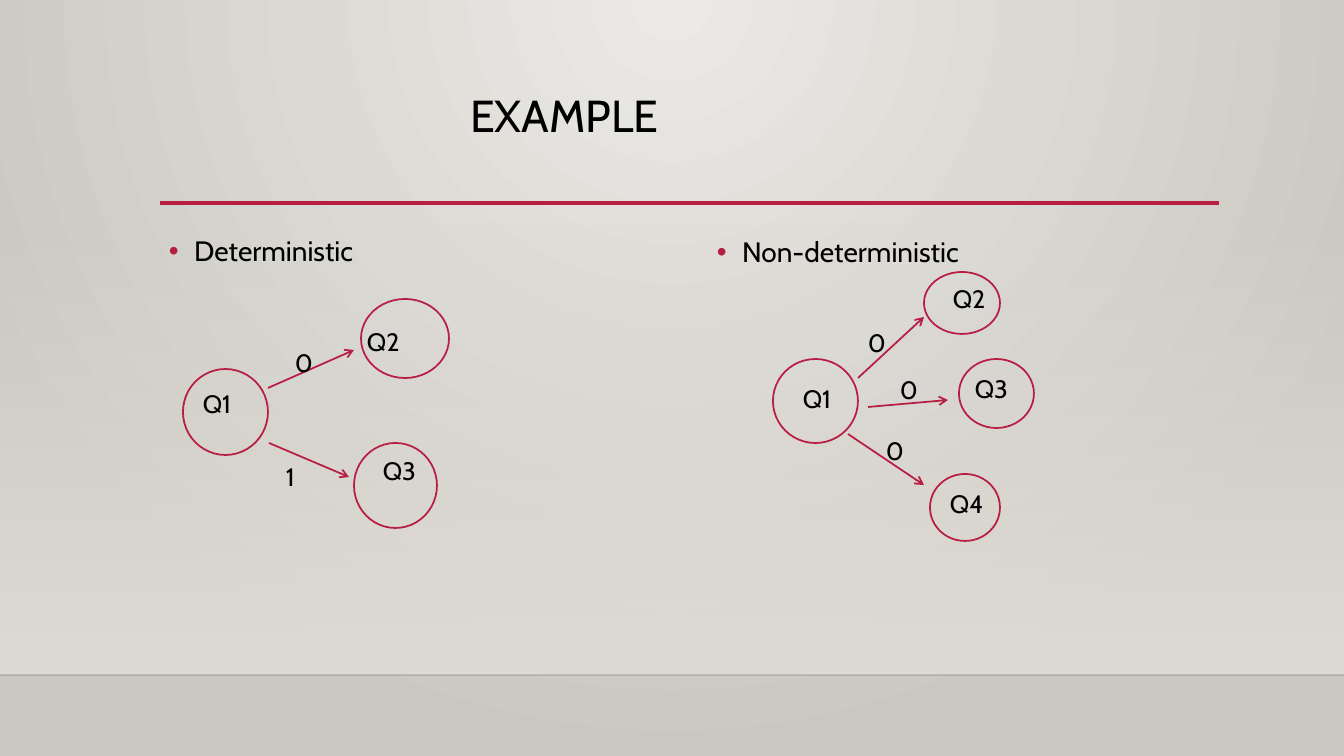
from pptx import Presentation
from pptx.dml.color import RGBColor
from pptx.enum.shapes import MSO_CONNECTOR, MSO_SHAPE
from pptx.enum.text import MSO_ANCHOR, MSO_AUTO_SIZE, PP_ALIGN
from pptx.oxml.ns import qn
from pptx.util import Pt
from lxml.etree import SubElement

PX = 914400 / 100.8
RED = RGBColor(0xB7, 0x1E, 0x42)
BLACK = RGBColor(0, 0, 0)
EDGE = RGBColor(0, 0, 1)
LIGHT = RGBColor(0xEC, 0xEA, 0xE7)
DARK = RGBColor(0xCA, 0xC7, 0xC1)
SAND = RGBColor(0xDF, 0xDB, 0xD5)
FONT = "Cabin"


def px(*sizes):
    return [round(size * PX) for size in sizes]


def add_line(ends, color, width):
    line = slide.shapes.add_connector(MSO_CONNECTOR.STRAIGHT, *px(*ends))
    line.line.color.rgb = color
    line.line.width = Pt(width)
    SubElement(line._element.spPr, qn("a:effectLst"))
    return line


prs = Presentation()
prs.slide_width, prs.slide_height = px(1344, 756)
slide = prs.slides.add_slide(prs.slide_layouts[5])

# Background with a round glow from the top
fill = slide.background.fill
fill.gradient()
for stop, color in zip(fill.gradient_stops, (LIGHT, DARK)):
    stop.color.rgb = color
linear = slide.element.find(".//" + qn("a:lin"))
grad = linear.getparent()
grad.remove(linear)
glow = SubElement(grad, qn("a:path"), path="circle")
SubElement(glow, qn("a:fillToRect"), l="43000", t="0", r="43000", b="100000")

# Wall that fades in downwards
wall = slide.shapes.add_shape(MSO_SHAPE.RECTANGLE, *px(0, 223, 1344, 452))
wall.shadow.inherit = False
wall.line.fill.background()
wall.fill.gradient()
wall.fill.gradient_angle = 270
for stop in wall.fill.gradient_stops:
    stop.color.rgb = SAND
first = wall._element.spPr.find(".//" + qn("a:srgbClr"))
SubElement(first, qn("a:alpha"), val="0")

# Floor edge and title rule
floor = add_line((0, 675, 1344, 675), EDGE, 1)
tint = floor._element.spPr.find(".//" + qn("a:srgbClr"))
SubElement(tint, qn("a:alpha"), val="20000")
add_line((160, 203, 1219, 203), RED, 2.5)

# Title
title = slide.shapes.title
title.left, title.top, title.width, title.height = px(159, 89, 1058, 117)
frame = title.text_frame
frame.text = "EXAMPLE"
frame.auto_size = MSO_AUTO_SIZE.NONE
frame.vertical_anchor = MSO_ANCHOR.TOP
frame.margin_left = px(311)[0]
para = frame.paragraphs[0]
para.alignment = PP_ALIGN.LEFT
para.line_spacing = 0.9
para.font.size = Pt(32)
para.font.name = FONT
para.font.color.rgb = BLACK

# Column headings
for text, left, top in (("Deterministic", 159, 222), ("Non-deterministic", 707, 223)):
    frame = slide.shapes.add_textbox(*px(left, top, 512, 379)).text_frame
    frame.word_wrap = True
    frame.text = text
    para = frame.paragraphs[0]
    props = para._p.get_or_add_pPr()
    props.set("marL", "228600")
    props.set("indent", "-228600")
    SubElement(SubElement(props, qn("a:buClr")), qn("a:srgbClr"), val=str(RED))
    SubElement(props, qn("a:buFont"), typeface="Arial")
    SubElement(props, qn("a:buChar"), char="•")
    para.line_spacing = 1.2
    para.font.size = Pt(20)
    para.font.name = FONT
    para.font.color.rgb = BLACK

# States
for spot in (
    (183, 369, 85, 86), (361, 299, 88, 79), (354, 443, 83, 85),
    (773, 359, 85, 84), (924, 272, 76, 62), (959, 359, 75, 69), (930, 474, 70, 67),
):
    state = slide.shapes.add_shape(MSO_SHAPE.OVAL, *px(*spot))
    state.shadow.inherit = False
    state.fill.background()
    state.line.color.rgb = RED
    state.line.width = Pt(1.25)

# Moves between states
for ends in (
    (268, 388, 354, 350), (269, 443, 349, 477),
    (858, 378, 924, 317), (868, 407, 948, 400), (848, 434, 924, 485),
):
    move = add_line(ends, RED, 1.25)
    SubElement(move.line._get_or_add_ln(), qn("a:tailEnd"), type="arrow")

# Labels of states and moves
for text, left, top, width in (
    ("Q1", 193, 383, 71), ("Q2", 357, 321, 98), ("Q3", 373, 450, 59),
    ("Q1", 793, 378, 69), ("Q2", 943, 278, 64), ("Q3", 965, 368, 69), ("Q4", 940, 483, 59),
    ("0", 285, 342, 49), ("1", 276, 456, 48),
    ("0", 858, 322, 59), ("0", 890, 369, 49), ("0", 876, 430, 41),
):
    frame = slide.shapes.add_textbox(*px(left, top, width, 40)).text_frame
    frame.word_wrap = True
    frame.auto_size = MSO_AUTO_SIZE.SHAPE_TO_FIT_TEXT
    frame.text = text
    font = frame.paragraphs[0].font
    font.size = Pt(18)
    font.name = FONT
    font.color.rgb = BLACK

prs.save("out.pptx")
